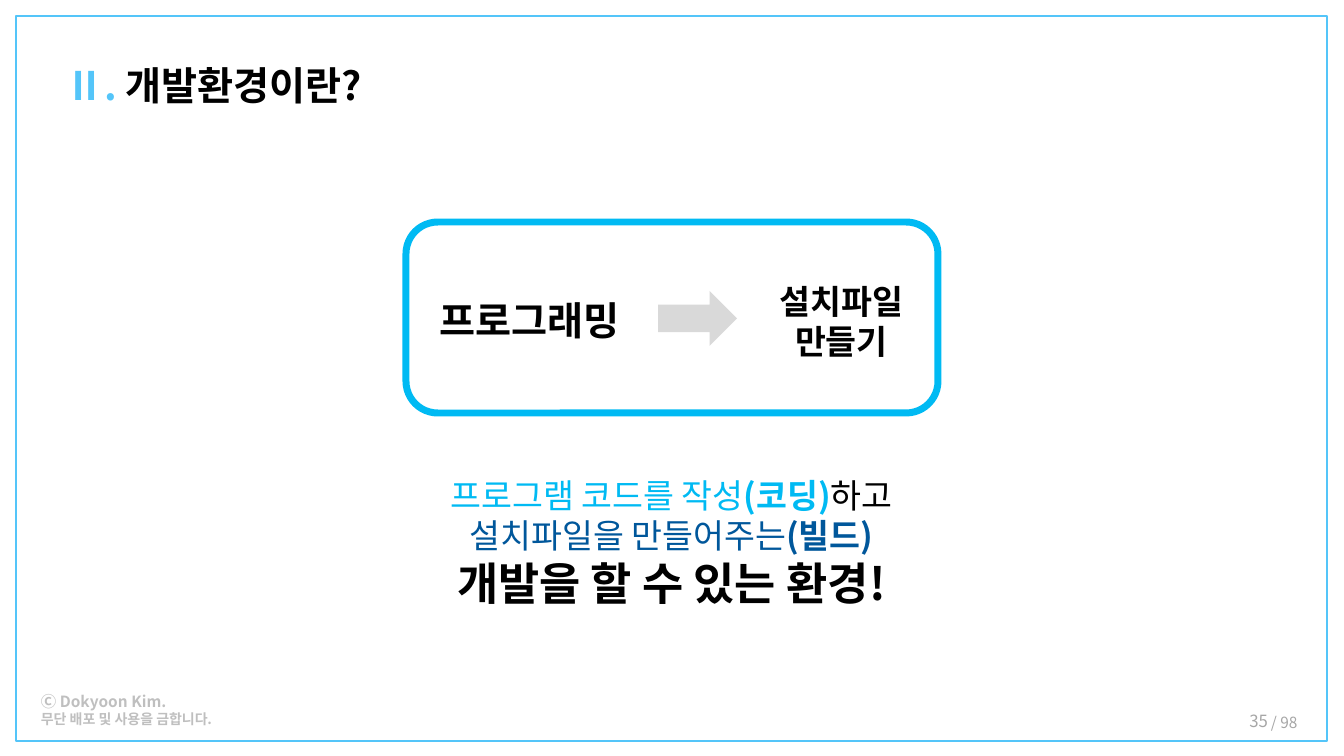
"""Build the slide that explains what a development environment is."""
from lxml import etree
from pptx import Presentation
from pptx import util as u
from pptx.dml.color import RGBColor
from pptx.enum import shapes, text
from pptx.oxml import ns

FONT = "Noto Sans CJK KR"
COLOURS = {"black": "000000", "sky": "54C5F9", "cyan": "00BAF3", "navy": "00579B",
           "arrow": "D9D9D9", "notice": "BFBFBF", "page": "A6A6A6"}
LEFT, CENTER, RIGHT = text.PP_ALIGN.LEFT, text.PP_ALIGN.CENTER, text.PP_ALIGN.RIGHT
TOP, MIDDLE = text.MSO_ANCHOR.TOP, text.MSO_ANCHOR.MIDDLE

HEADING = ((55, 56, 776, 57), LEFT, TOP, [
    [("Ⅱ. ", 28, "sky", True), ("개발환경이란?", 28, "black", True)]])
LABELS = [
    ((31, 687, 314, 45), LEFT, TOP, [
        [("Ⓒ Dokyoon Kim.", 11, "notice", True)],
        [("무단 배포 및 사용을 금합니다.", 10, "notice", True)]]),
    ((1261, 708, 75, 29), LEFT, TOP, [[("/ 98", 11, "page", False)]]),
    ((976, 701, 302, 40), RIGHT, MIDDLE, [[("35", 12, "page", False)]]),
    ((416, 291, 227, 62), CENTER, TOP, [[("프로그래밍", 28, "black", True)]]),
    ((768, 276, 147, 92), CENTER, TOP, [
        [("설치파일", 24, "black", True)],
        [("만들기", 24, "black", True)]]),
    ((171, 470, 1001, 146), CENTER, TOP, [
        [("프로그램 코드를 작성", 24, "cyan", False), ("(코딩)", 24, "cyan", True),
         ("하고", 24, "black", False)],
        [("설치파일을 만들어주는", 24, "navy", False), ("(빌드)", 24, "navy", True)],
        [("개발을 할 수 있는 환경!", 32, "black", True)]]),
]
KIND = shapes.MSO_SHAPE
FIGURES = [
    (KIND.RECTANGLE, (16, 16, 1311, 725), None, ("sky", 1)),
    (KIND.RIGHT_ARROW, (658, 291, 79, 55), "arrow", None),
    (KIND.ROUNDED_RECTANGLE, (406, 222, 532, 191), None, ("cyan", 5)),
]

WIDTH, HEIGHT = 1344, 756
SCALE = u.Inches(1) / 100.8


def emu(px):
    return u.Emu(round(px * SCALE))


def rgb(name):
    return RGBColor.from_string(COLOURS[name])


def write(frame, align, anchor, lines):
    frame_format = {"word_wrap": True, "auto_size": text.MSO_AUTO_SIZE.NONE,
                    "vertical_anchor": anchor}
    for key, value in frame_format.items():
        setattr(frame, key, value)
    for index, line in enumerate(lines):
        paragraph = frame.add_paragraph() if index else frame.paragraphs[0]
        paragraph.alignment = align
        for words, size, colour, bold in line:
            run = paragraph.add_run()
            run.text = words
            run_format = {"name": FONT, "size": u.Pt(size), "bold": bold}
            for key, value in run_format.items():
                setattr(run.font, key, value)
            run.font.color.rgb = rgb(colour)
            east_asian = etree.SubElement(run.font._element, ns.qn("a:ea"))
            east_asian.set("typeface", FONT)


def draw(slide, kind, box, fill, outline):
    figure = slide.shapes.add_shape(kind, *map(emu, box))
    figure.shadow.inherit = False
    if fill:
        figure.fill.solid()
        figure.fill.fore_color.rgb = rgb(fill)
    else:
        figure.fill.background()
    if outline:
        colour, width = outline
        figure.line.color.rgb = rgb(colour)
        figure.line.width = u.Pt(width)
    else:
        figure.line.fill.background()


def main():
    deck = Presentation()
    deck.slide_width, deck.slide_height = emu(WIDTH), emu(HEIGHT)
    slide = deck.slides.add_slide(deck.slide_layouts[5])
    for figure in FIGURES:
        draw(slide, *figure)
    box, *heading = HEADING
    title = slide.shapes.title
    for key, px in zip(("left", "top", "width", "height"), box):
        setattr(title, key, emu(px))
    write(title.text_frame, *heading)
    for box, *label in LABELS:
        write(slide.shapes.add_textbox(*map(emu, box)).text_frame, *label)
    deck.save("out.pptx")


if __name__ == "__main__":
    main()
